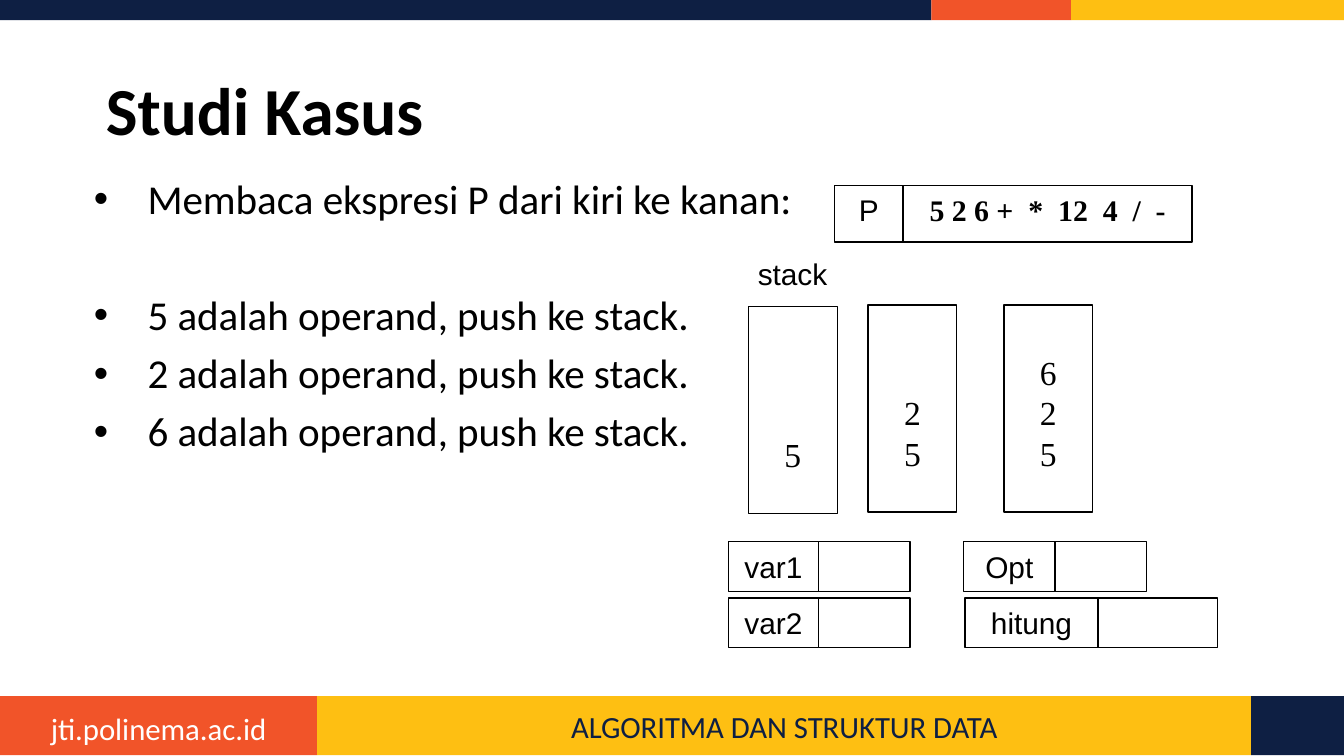
import pptx
import pptx.util
import pptx.dml.color
import pptx.enum.shapes
import pptx.enum.text
import pptx.oxml.ns
import lxml.etree

Inches = pptx.util.Inches
Pt = pptx.util.Pt
ALIGN = pptx.enum.text.PP_ALIGN
ANCHOR = pptx.enum.text.MSO_ANCHOR
RECT = pptx.enum.shapes.MSO_SHAPE.RECTANGLE
NAVY, ORANGE, GOLD = "0E1F43", "F15429", "FEBF12"
BLACK, WHITE = "000000", "FFFFFF"


def color(code):
    return pptx.dml.color.RGBColor.from_string(code)


def write(para, text, size, face, ink=BLACK, bold=False, align=ALIGN.CENTER):
    para.alignment = align
    run = para.add_run()
    run.text = text
    run.font.size = Pt(size)
    run.font.name = face
    run.font.bold = bold
    run.font.color.rgb = color(ink)


def rect(slide, left, top, width, height, fill=WHITE, line=None):
    shape = slide.shapes.add_shape(
        RECT, Inches(left), Inches(top), Inches(width), Inches(height))
    shape.shadow.inherit = False
    shape.fill.solid()
    shape.fill.fore_color.rgb = color(fill)
    if line:
        shape.line.color.rgb = color(line)
        shape.line.width = Pt(0.75)
    else:
        shape.line.fill.background()
    shape.text_frame.vertical_anchor = ANCHOR.TOP
    return shape


def label(slide, left, top, width, height):
    box = slide.shapes.add_textbox(
        Inches(left), Inches(top), Inches(width), Inches(height))
    box.text_frame.word_wrap = True
    return box.text_frame


def band(slide, left, top, height, parts):
    shapes = []
    for width, fill in parts:
        shapes.append(rect(slide, left, top, width, height, fill))
        left += width
    return shapes


def footer(slide, left, top, height):
    parts = [(2.36, ORANGE), (6.95, GOLD), (0.69, NAVY)]
    shapes = band(slide, left, top, height, parts)
    frame = shapes[1].text_frame
    frame.vertical_anchor = ANCHOR.MIDDLE
    write(frame.paragraphs[0], "ALGORITMA DAN STRUKTUR DATA", 16.5, "Calibri", NAVY)
    frame = label(slide, left, top + 0.05, parts[0][0], 0.38)
    write(frame.paragraphs[0], "jti.polinema.ac.id", 16.5, "Calibri", WHITE)


def title(slide, left, top, width, height):
    frame = label(slide, left, top, width, height)
    frame.vertical_anchor = ANCHOR.MIDDLE
    para = frame.paragraphs[0]
    para.line_spacing = 0.9
    write(para, "Studi Kasus", 36, "Calibri", bold=True, align=ALIGN.LEFT)


def bullets(slide, left, top, width, height, items):
    frame = label(slide, left, top, width, height)
    for num, (text, gap) in enumerate(items):
        para = frame.add_paragraph() if num else frame.paragraphs[0]
        para.line_spacing = 0.9
        para.space_before = Pt(gap)
        props = para._p.get_or_add_pPr()
        props.set("marL", str(Inches(0.5)))
        props.set("indent", str(Inches(-0.4)))
        for tag, key, value in [("a:buFont", "typeface", "Arial"), ("a:buChar", "char", "•")]:
            lxml.etree.SubElement(props, pptx.oxml.ns.qn(tag)).set(key, value)
        write(para, text, 22, "Calibri", align=ALIGN.LEFT)


def field(slide, left, top, height, name, first, second, value=""):
    cell = rect(slide, left + first, top, second, height, line=BLACK)
    if value:
        write(cell.text_frame.paragraphs[0], value, 16, "Times New Roman", bold=True)
    cell = rect(slide, left, top, first, height, line=BLACK)
    write(cell.text_frame.paragraphs[0], name, 16, "Arial")


def stack(slide, left, top, width, height, items):
    frame = rect(slide, left, top, width, height, line=BLACK).text_frame
    frame.vertical_anchor = ANCHOR.BOTTOM
    frame.margin_bottom = Inches(0.29)
    for num, item in enumerate(items):
        para = frame.add_paragraph() if num else frame.paragraphs[0]
        write(para, item, 18, "Times New Roman")


def main():
    deck = pptx.Presentation()
    deck.slide_width = Inches(10)
    deck.slide_height = Inches(10) * 9 // 16
    slide = deck.slides.add_slide(deck.slide_layouts[6])

    band(slide, 0, 0, 0.15, [(6.93, NAVY), (1.04, ORANGE), (2.03, GOLD)])
    footer(slide, 0, 5.18, 0.44)
    title(slide, 0.69, 0.3, 8.62, 1.09)
    push = "{} adalah operand, push ke stack."
    bullets(slide, 0.5, 1.28, 9, 4.05, [
        ("Membaca ekspresi P dari kiri ke kanan:", 0),
        (push.format(5), 38.5),
        (push.format(2), 7.5),
        (push.format(6), 7.5),
    ])

    field(slide, 6.21, 1.38, 0.42, "P", 0.51, 2.15, "5 2 6 +  *  12  4  /  -")
    for left, top, items in [(5.57, 2.28, "5"), (6.46, 2.27, "25"), (7.47, 2.27, "625")]:
        stack(slide, left, top, 0.66, 1.54, items)
    for left, top, name, first, second in [
        (5.42, 4.03, "var1", 0.67, 0.68),
        (5.42, 4.45, "var2", 0.67, 0.68),
        (7.17, 4.03, "Opt", 0.68, 0.68),
        (7.18, 4.45, "hitung", 0.99, 0.89),
    ]:
        field(slide, left, top, 0.37, name, first, second)
    frame = label(slide, 5.54, 1.85, 0.73, 0.37)
    write(frame.paragraphs[0], "stack", 16, "Arial", align=ALIGN.LEFT)
    deck.save("out.pptx")


if __name__ == "__main__":
    main()
